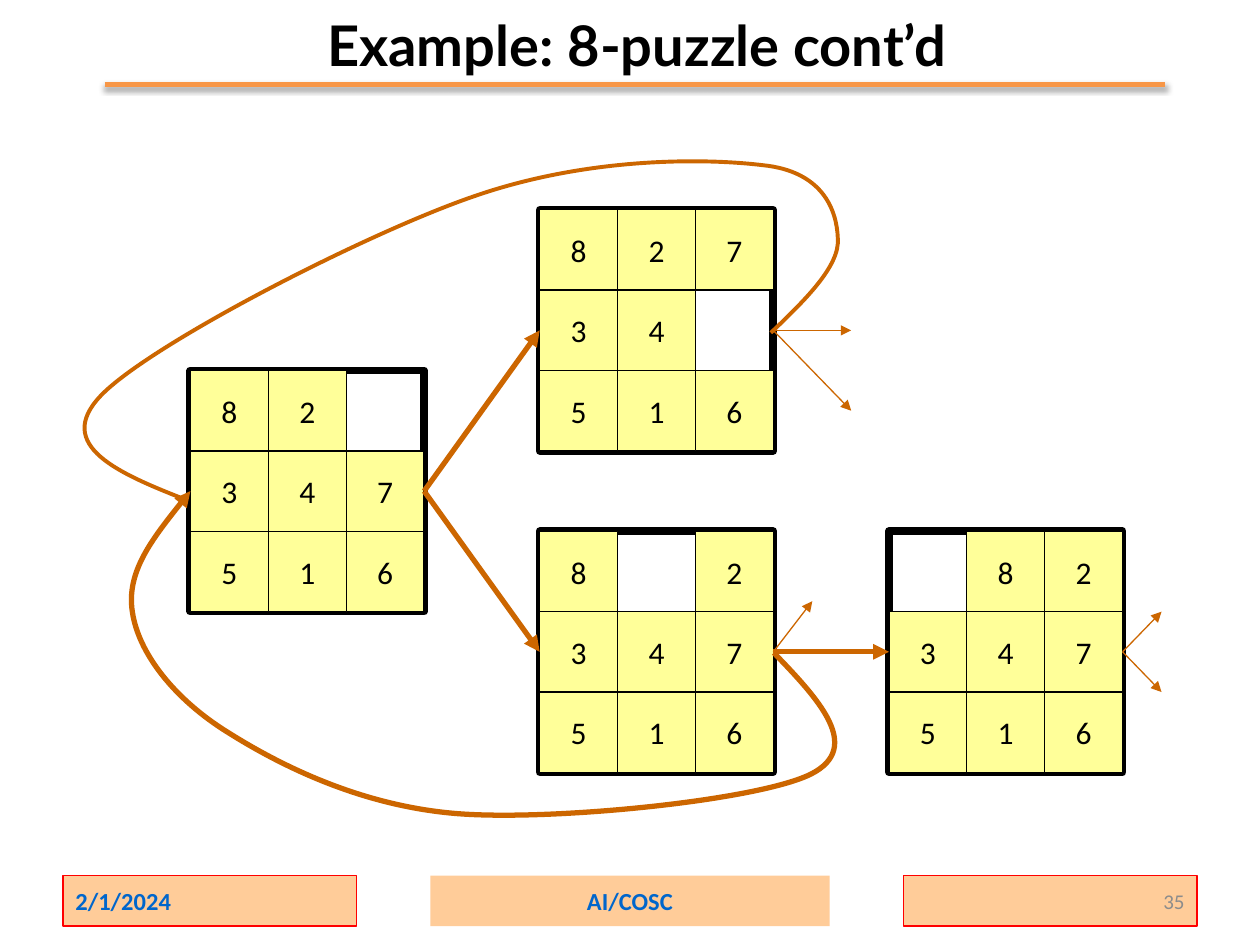
from collections import namedtuple
from dataclasses import dataclass

from pptx import Presentation
from pptx import util as u
from pptx.dml.color import RGBColor
from pptx.enum import shapes, text
from pptx.oxml.xmlchemy import OxmlElement

Box = namedtuple("Box", "left top width height")


@dataclass(frozen=True)
class Theme:
    ink: RGBColor = RGBColor(0x00, 0x00, 0x00)
    tile: RGBColor = RGBColor(0xFF, 0xFF, 0x99)
    arrow: RGBColor = RGBColor(0xCC, 0x66, 0x00)
    rule: RGBColor = RGBColor(0xF7, 0x96, 0x46)
    band: RGBColor = RGBColor(0xFF, 0xCC, 0x99)
    band_line: RGBColor = RGBColor(0xFF, 0x00, 0x00)
    band_text: RGBColor = RGBColor(0x00, 0x66, 0xCC)
    number: RGBColor = RGBColor(0x8C, 0x8C, 0x8C)
    title_font: str = "Lato"
    body_font: str = "Calibri"
    title_size: int = 32
    tile_size: int = 18
    band_size: int = 14
    number_size: int = 12
    thin: float = 0.75
    medium: float = 2.25
    thick: float = 3
    frame: float = 4.5


THEME = Theme()
TILE_WIDTH, TILE_HEIGHT = 1.57, 1.62
BOARD_WIDTH, BOARD_HEIGHT = 3 * TILE_WIDTH, 3 * TILE_HEIGHT
COLUMN_STEP, ROW_STEP = 7.04, 2 * TILE_HEIGHT
LEFT_SIDE, RIGHT_SIDE = 1, 3

BOARDS = {
    "start": (0, 1, "82 347516"),
    "left": (1, 2, "8 2347516"),
    "down": (1, 0, "82734 516"),
    "left twice": (2, 2, " 82347516"),
}
MOVES = [("start", "down"), ("start", "left"), ("left", "left twice")]
BRANCHES = [
    ("down", 1, 0),
    ("down", 1, 1),
    ("left twice", 0.5, -0.5),
    ("left twice", 0.5, 0.5),
    ("left", 0.5, -0.63),
]
LOWER_LOOP = [
    (11.76, 8.93),
    (12.67, 9.87), (13.56, 10.83), (12.52, 11.37),
    (11.48, 11.9), (7.44, 12.31), (5.48, 12.18),
    (3.53, 12.05), (1.88, 11.24), (0.78, 10.55),
    (-0.33, 9.87), (-1.05, 8.93), (-1.17, 8.11),
    (-1.3, 7.3), (-0.66, 6.49), (0, 5.67),
]
UPPER_LOOP = [
    (11.7, 2.48),
    (12.39, 1.82), (13.1, 1.13), (13.05, 0.57),
    (13.03, 0.01), (12.75, -0.78), (11.53, -0.9),
    (10.28, -1.05), (7.95, -1.05), (5.71, -0.27),
    (3.5, 0.49), (-0.84, 2.73), (-1.81, 3.75),
    (-2.77, 4.76), (-1.43, 5.32), (-0.08, 5.85),
]


def lengths(values):
    return [u.Cm(value) for value in values]


def style_line(shape, color, width):
    shape.line.color.rgb = color
    shape.line.width = u.Pt(width)


def style_font(font, name, size, color, bold=False):
    font.name, font.size, font.bold = name, u.Pt(size), bold
    font.color.rgb = color


def add_arrowhead(shape):
    head = OxmlElement("a:tailEnd")
    head.set("type", "triangle")
    shape._element.xpath(".//a:ln")[0].append(head)


def add_line(slide, start, end, color, width):
    line = slide.shapes.add_connector(
        shapes.MSO_CONNECTOR.STRAIGHT, *lengths([*start, *end]))
    style_line(line, color, width)
    effects = OxmlElement("a:effectLst")
    line._element.spPr.append(effects)
    return line, effects


def add_rectangle(slide, box, fill=None, line=None, width=THEME.thin):
    shape = slide.shapes.add_shape(shapes.MSO_SHAPE.RECTANGLE, *lengths(box))
    shape.shadow.inherit = False
    if fill is None:
        shape.fill.background()
    else:
        shape.fill.solid()
        shape.fill.fore_color.rgb = fill
    if line is None:
        shape.line.fill.background()
    else:
        style_line(shape, line, width)
    return shape


def write(shape, words, alignment, size, color, bold=False):
    frame = shape.text_frame
    frame.text = words
    frame.vertical_anchor = text.MSO_ANCHOR.MIDDLE
    paragraph = frame.paragraphs[0]
    paragraph.alignment = alignment
    style_font(paragraph.font, THEME.body_font, size, color, bold)


def add_loop(slide, box, points, width):
    placed = [lengths((box.left + x, box.top + y)) for x, y in points]
    builder = slide.shapes.build_freeform(*placed[0])
    builder.add_line_segments(placed[1:], close=False)
    loop = builder.convert_to_shape()
    segments = loop._element.xpath(".//a:lnTo")
    for index in range(0, len(segments), 3):
        curve = OxmlElement("a:cubicBezTo")
        segments[index].addprevious(curve)
        for segment in segments[index:index + 3]:
            curve.append(segment[0])
            segment.getparent().remove(segment)
    loop.fill.background()
    loop.shadow.inherit = False
    style_line(loop, THEME.arrow, width)
    return loop


def add_heading(slide, box):
    title = slide.shapes.title
    title.left, title.top, title.width, title.height = lengths(box)
    title.text_frame.text = "Example: 8-puzzle cont’d"
    title.text_frame.vertical_anchor = text.MSO_ANCHOR.MIDDLE
    paragraph = title.text_frame.paragraphs[0]
    paragraph.alignment = text.PP_ALIGN.CENTER
    style_font(paragraph.font, THEME.title_font, THEME.title_size, THEME.ink, True)

    height = box.top + box.height - 0.08
    _, effects = add_line(slide, (box.left - 0.23, height),
                          (box.left + box.width + 0.15, height),
                          THEME.rule, THEME.thick)
    shadow = OxmlElement("a:outerShdw")
    for name, value in (("blurRad", 40000), ("dist", 23000), ("dir", 5400000)):
        shadow.set(name, str(value))
    color, alpha = OxmlElement("a:srgbClr"), OxmlElement("a:alpha")
    color.set("val", "000000")
    alpha.set("val", "35000")
    color.append(alpha)
    shadow.append(color)
    effects.append(shadow)


def add_board(slide, box, digits):
    frame = add_rectangle(slide, box, line=THEME.ink, width=THEME.frame)
    for index, digit in enumerate(digits):
        if digit == " ":
            continue
        row, column = divmod(index, 3)
        cell = Box(box.left + column * TILE_WIDTH, box.top + row * TILE_HEIGHT,
                   TILE_WIDTH, TILE_HEIGHT)
        tile = add_rectangle(slide, cell, THEME.tile, THEME.ink)
        write(tile, digit, text.PP_ALIGN.CENTER, THEME.tile_size, THEME.ink)
    return frame


def add_search_tree(slide, box):
    places, frames = {}, {}
    for name, (column, row, digits) in BOARDS.items():
        places[name] = Box(box.left + column * COLUMN_STEP,
                           box.top + row * ROW_STEP, BOARD_WIDTH, BOARD_HEIGHT)
        frames[name] = add_board(slide, places[name], digits)
    for source, target in MOVES:
        move, _ = add_line(slide, (0, 0), (1, 1), THEME.arrow, THEME.thick)
        move.begin_connect(frames[source], RIGHT_SIDE)
        move.end_connect(frames[target], LEFT_SIDE)
        add_arrowhead(move)
    for source, across, down in BRANCHES:
        place = places[source]
        x, y = place.left + place.width, place.top + place.height / 2
        end = (x + across * TILE_WIDTH, y + down * TILE_HEIGHT)
        branch, _ = add_line(slide, (x, y), end, THEME.arrow, THEME.thin)
        branch.begin_connect(frames[source], RIGHT_SIDE)
        add_arrowhead(branch)
    add_arrowhead(add_loop(slide, box, LOWER_LOOP, THEME.thick))
    add_loop(slide, box, UPPER_LOOP, THEME.medium)


def add_footer(slide, box):
    side, middle = 5.92, 8.05
    date = add_rectangle(slide, Box(box.left, box.top, side, box.height),
                         THEME.band, THEME.band_line)
    write(date, "2/1/2024", text.PP_ALIGN.LEFT, THEME.band_size, THEME.band_text, True)
    course = add_rectangle(
        slide, Box(box.left + (box.width - middle) / 2, box.top, middle, box.height),
        THEME.band)
    write(course, "AI/COSC", text.PP_ALIGN.CENTER, THEME.band_size, THEME.band_text, True)
    number = add_rectangle(
        slide, Box(box.left + box.width - side, box.top, side, box.height),
        THEME.band, THEME.band_line)
    write(number, "35", text.PP_ALIGN.RIGHT, THEME.number_size, THEME.number)


def main():
    presentation = Presentation()
    presentation.slide_width, presentation.slide_height = lengths((25.4, 19.05))
    slide = presentation.slides.add_slide(presentation.slide_layouts[5])
    add_search_tree(slide, Box(3.84, 4.23, 18.79, 11.34))
    add_heading(slide, Box(2.34, 0, 21, 1.78))
    add_footer(slide, Box(1.27, 17.65, 22.86, 1.02))
    presentation.save("out.pptx")


if __name__ == "__main__":
    main()
